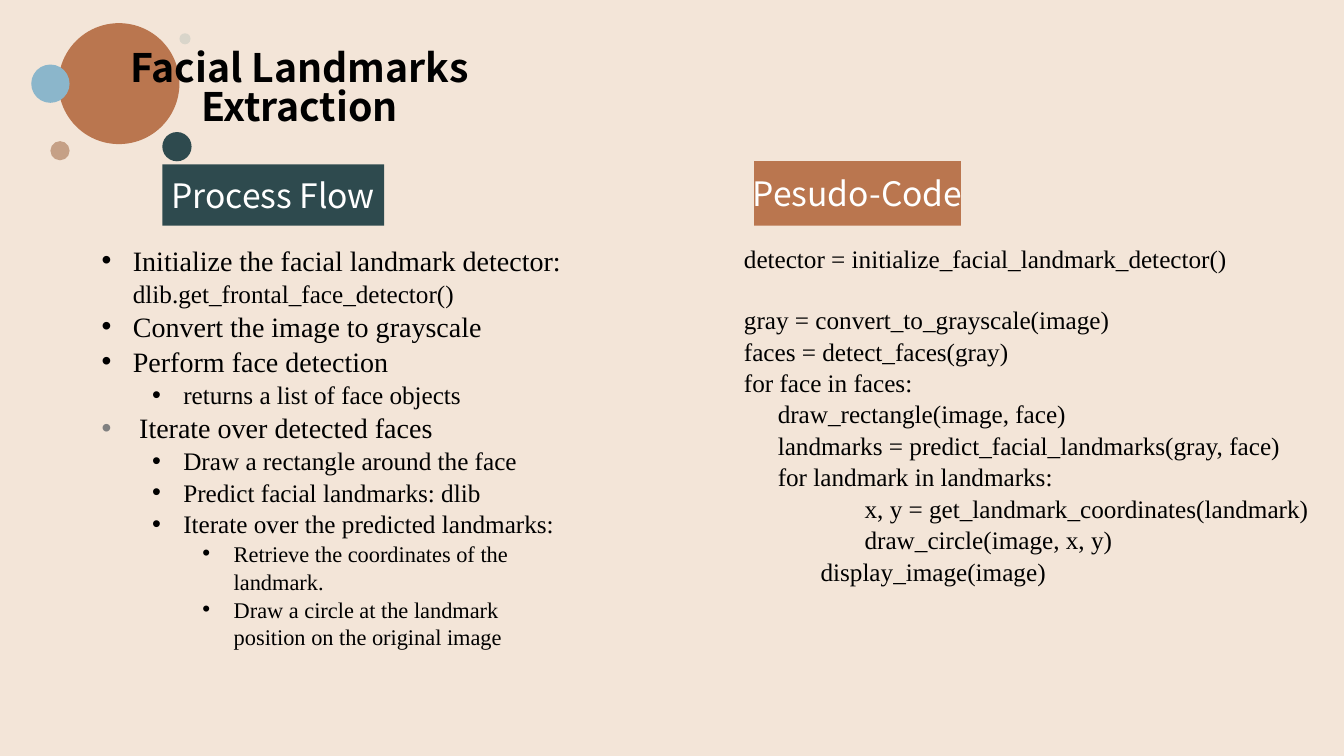
import pptx
import pptx.util
import pptx.dml.color
import pptx.enum.shapes
import pptx.enum.text
import pptx.oxml.ns
from lxml import etree

Inches, Pt = pptx.util.Inches, pptx.util.Pt
SHAPE = pptx.enum.shapes.MSO_SHAPE
ALIGN = pptx.enum.text.PP_ALIGN
ANCHOR = pptx.enum.text.MSO_ANCHOR
COLORS = {
    "sand": "F3E5D8", "clay": "BA764F", "blue": "8BB6CB", "tan": "C5A086",
    "teal": "2E4A4E", "mist": "D9D5CA", "black": "000000", "white": "FFFFFF",
    "gray": "808080",
}
SANS, SERIF = "Noto Sans CJK SC", "Times New Roman"
STEP = 0.31

CIRCLES = [
    (0.27, 0, 1.2, "clay"), (0, 0.41, 0.38, "blue"), (0.19, 1.17, 0.19, "tan"),
    (1.3, 1.08, 0.29, "teal"), (1.47, 0.1, 0.11, "mist"),
]
FLOW_SIZES = (20, 18, 16)
FLOW = [
    (0, "Initialize the facial landmark detector: "),
    (0, "Convert the image to grayscale"),
    (0, "Perform face detection"),
    (1, "returns a list of face objects"),
    (0, "Iterate over detected faces"),
    (1, "Draw a rectangle around the face"),
    (1, "Predict facial landmarks: dlib"),
    (1, "Iterate over the predicted landmarks:"),
    (2, "Retrieve the coordinates of the landmark."),
    (2, "Draw a circle at the landmark position on the original image"),
]
CODE = [
    (0, "", "detector = initialize_facial_landmark_detector()"),
    (0, "", "gray = convert_to_grayscale(image)"),
    (0, "", "faces = detect_faces(gray)"),
    (0, "", "for face in faces:"),
    (0, "      ", "draw_rectangle(image, face)"),
    (0, "      ", "landmarks = predict_facial_landmarks(gray, face)"),
    (0, "      ", "for landmark in landmarks:"),
    (0.76, "", "       x, y = get_landmark_coordinates(landmark)"),
    (0.76, "", "       draw_circle(image, x, y)"),
    (0.76, "", "display_image(image)"),
]


def rgb(name):
    """Return the named colour."""
    return pptx.dml.color.RGBColor.from_string(COLORS[name])


def add_run(p, text, size=18, font=SERIF, color="black", bold=False):
    """Add formatted text to a paragraph."""
    r = p.add_run()
    r.text = text
    r.font.size, r.font.name, r.font.bold = Pt(size), font, bold
    r.font.color.rgb = rgb(color)
    for tag in ("a:ea", "a:cs"):
        etree.SubElement(r.font._element, pptx.oxml.ns.qn(tag), typeface=font)


def add_shape(s, kind, box, color):
    """Add a plain filled shape."""
    sp = s.shapes.add_shape(kind, *map(Inches, box))
    sp.shadow.inherit = False
    sp.fill.solid()
    sp.fill.fore_color.rgb = rgb(color)
    sp.line.fill.background()
    return sp


def add_text_frame(s, box):
    """Add a wrapping text box and return its frame."""
    tf = s.shapes.add_textbox(*map(Inches, box)).text_frame
    tf.word_wrap = True
    return tf


def next_paragraph(tf, index):
    """Return the first paragraph, or a new one after it."""
    return tf.add_paragraph() if index else tf.paragraphs[0]


def set_indent(p, margin, indent, bullet=None):
    """Set the indents of a paragraph and its bullet, if any."""
    pPr = p._p.get_or_add_pPr()
    pPr.set("marL", str(Inches(margin)))
    pPr.set("indent", str(Inches(indent)))
    if bullet:
        etree.SubElement(pPr, pptx.oxml.ns.qn("a:buFont"), typeface="Arial")
        etree.SubElement(pPr, pptx.oxml.ns.qn("a:buChar"), char=bullet)


def add_circles(s, left, top):
    """Draw the cluster of circles."""
    for dx, dy, size, color in CIRCLES:
        add_shape(s, SHAPE.OVAL, (left + dx, top + dy, size, size), color)


def add_title(s, box):
    """Write the slide title."""
    p = add_text_frame(s, box).paragraphs[0]
    p.alignment = ALIGN.CENTER
    p.line_spacing = 0.83
    add_run(p, "Facial Landmarks Extraction", size=28, font=SANS, bold=True)


def add_heading(s, box, text, color):
    """Draw a column heading on a filled bar."""
    tf = add_shape(s, SHAPE.RECTANGLE, box, color).text_frame
    tf.word_wrap = False
    tf.vertical_anchor = ANCHOR.MIDDLE
    p = tf.paragraphs[0]
    p.alignment = ALIGN.CENTER
    add_run(p, text, size=24, font=SANS, color="white")


def add_flow(s, box):
    """Write the nested list of process steps."""
    tf = add_text_frame(s, box)
    for i, (level, text) in enumerate(FLOW):
        p = next_paragraph(tf, i)
        p.level = level
        p.line_spacing = 1.04
        set_indent(p, STEP + level * 0.5, -STEP, "•")
        if text.startswith("Iterate over detected"):
            add_run(p, " ", size=20, font=SANS, color="gray")
        add_run(p, text, size=FLOW_SIZES[level])
        if i == 0:
            add_run(p, "dlib.get_frontal_face_detector()")


def add_code(s, box):
    """Write the lines of pseudo-code."""
    tf = add_text_frame(s, box)
    for i, (indent, lead, text) in enumerate(CODE):
        p = next_paragraph(tf, i)
        p.line_spacing = 1.04
        set_indent(p, indent, 0)
        if i == 1:
            p.space_before = Pt(21.5)
        if lead:
            add_run(p, lead, font=SANS)
        add_run(p, text)


def main():
    """Build and save the slide."""
    prs = pptx.Presentation()
    prs.slide_width, prs.slide_height = Inches(13.33), Inches(7.5)
    s = prs.slides.add_slide(prs.slide_layouts[6])
    s.background.fill.solid()
    s.background.fill.fore_color.rgb = rgb("sand")
    add_circles(s, 0.31, 0.23)
    add_title(s, (0.31, 0.46, 5.32, 1.51))
    add_heading(s, (1.61, 1.63, 2.2, 0.61), "Process Flow", "teal")
    add_heading(s, (7.48, 1.6, 2.05, 0.64), "Pesudo-Code", "clay")
    add_flow(s, (0.91, 2.35, 4.81, 5.72))
    add_code(s, (7.28, 2.35, 5.95, 3.74))
    prs.save("out.pptx")


if __name__ == "__main__":
    main()
